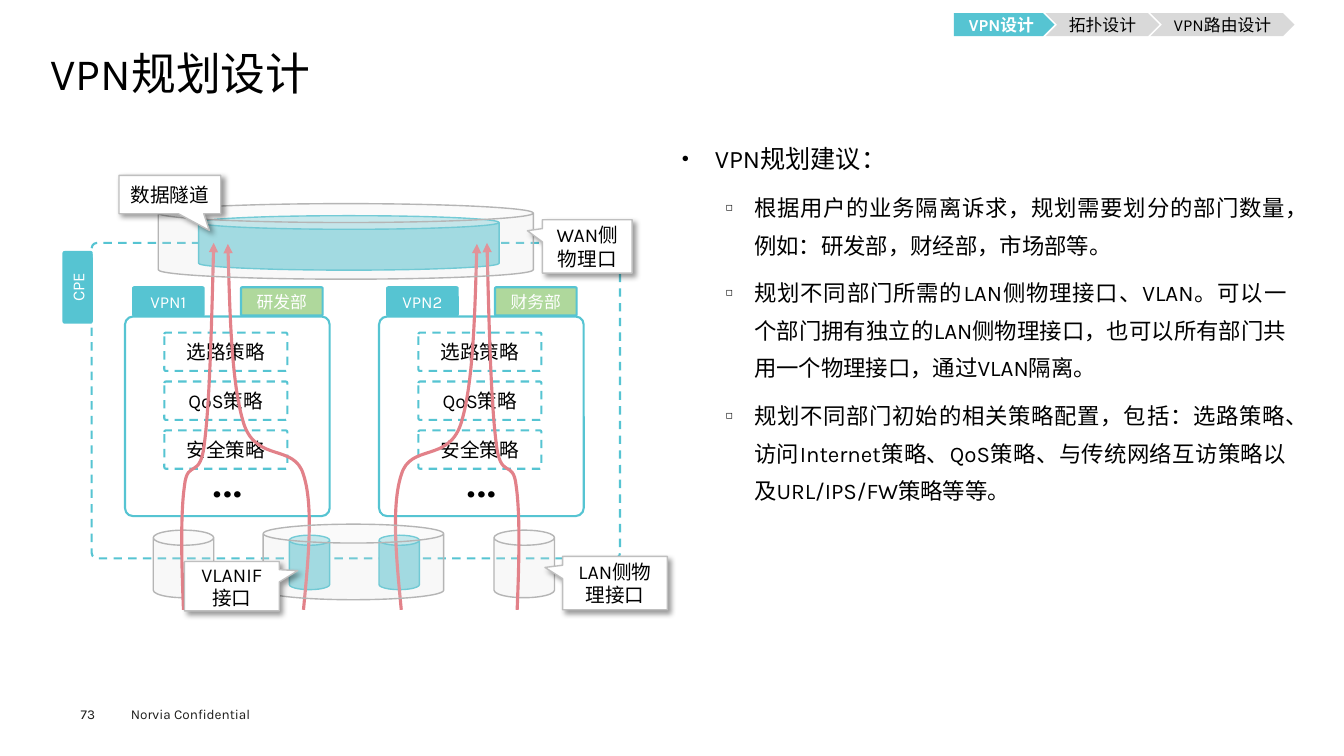
from lxml import etree
from pptx import Presentation
from pptx.dml.color import RGBColor
from pptx.enum.dml import MSO_LINE_DASH_STYLE as Dash
from pptx.enum.shapes import MSO_SHAPE as Shape
from pptx.enum.text import MSO_ANCHOR as Anchor, MSO_AUTO_SIZE as AutoSize, PP_ALIGN as Align
from pptx.oxml.ns import qn
from pptx.util import Inches, Pt

TEAL = RGBColor(0x56, 0xC4, 0xD2)
AQUA = RGBColor(0x94, 0xDA, 0xE2)
GREEN = RGBColor(0xAF, 0xD8, 0x9C)
PINK = RGBColor(0xE2, 0x81, 0x89)
PALE = RGBColor(0xDD, 0xDD, 0xDD)
NAV_GREY = RGBColor(0xD9, 0xD9, 0xD9)
CAN_EDGE = RGBColor(0xB5, 0xB5, 0xB5)
CALLOUT_EDGE = RGBColor(0xBF, 0xBF, 0xBF)
FOOTER_INK = RGBColor(0x1D, 0x1D, 0x1B)
BLACK = RGBColor(0, 0, 0)
WHITE = RGBColor(0xFF, 0xFF, 0xFF)

POLICIES = ["选路策略", "QoS策略", "安全策略"]
ADVICE = [
    "根据用户的业务隔离诉求，规划需要划分的部门数量，例如：研发部，财经部，市场部等。",
    "规划不同部门所需的LAN侧物理接口、VLAN。可以一个部门拥有独立的LAN侧物理接口，也可以所有部门共用一个物理接口，通过VLAN隔离。",
    "规划不同部门初始的相关策略配置，包括：选路策略、访问Internet策略、QoS策略、与传统网络互访策略以及URL/IPS/FW策略等等。",
]

# Paths through the diagram, as start point and Bezier control points
INNER_ROUTE = [(2.1, 4.31), (2.15, 3.79), (2.2, 3.28), (2.1, 2.97), (2.01, 2.66),
               (1.64, 2.85), (1.51, 2.47), (1.39, 2.09), (1.37, 1.39), (1.35, 0.68)]
OUTER_ROUTE = [(0.91, 4.31), (0.89, 3.83), (0.88, 3.36), (0.92, 3.08), (0.95, 2.8),
               (1.08, 3.04), (1.12, 2.64), (1.17, 2.24), (1.19, 1.45), (1.21, 0.67)]


def add_run(paragraph, text, size, color, bold=False):
    run = paragraph.add_run()
    run.text = text
    run.font.name = "Karla"
    run.font.size = Pt(size)
    run.font.bold = bold
    run.font.color.rgb = color


def set_insets(frame, x, top, bottom):
    frame.margin_left = frame.margin_right = Inches(x)
    frame.margin_top, frame.margin_bottom = Inches(top), Inches(bottom)


def add_block(shapes, kind, x, y, w, h, fill=None, line=None, width=1.5, dash=False,
              text="", size=12, color=BLACK, bold=False, adjust=()):
    block = shapes.add_shape(kind, Inches(x), Inches(y), Inches(w), Inches(h))
    block.shadow.inherit = False
    for i, value in enumerate(adjust):
        block.adjustments[i] = value
    if fill is None:
        block.fill.background()
    else:
        block.fill.solid()
        block.fill.fore_color.rgb = fill
    if line is None:
        block.line.fill.background()
    else:
        block.line.color.rgb = line
        block.line.width = Pt(width)
        if dash:
            block.line.dash_style = Dash.DASH
    if text:
        block.text_frame.vertical_anchor = Anchor.MIDDLE
        label = block.text_frame.paragraphs[0]
        label.alignment = Align.CENTER
        add_run(label, text, size, color, bold)
    return block


def add_tag(shapes, text, x, y, w=0.7, fill=TEAL):
    return add_block(shapes, Shape.ROUNDED_RECTANGLE, x, y, w, 0.28, fill, TEAL,
                     text=text, color=WHITE, adjust=[0.04])


def add_glass_can(shapes, x, y, w, h):
    can = add_block(shapes, Shape.CAN, x, y, w, h, PALE, CAN_EDGE, 1)
    tint = can._element.spPr.find(qn("a:solidFill"))[0]
    etree.SubElement(tint, qn("a:alpha"), val="20000")


def add_callout(shapes, text, x, y, w, h, adjust):
    callout = add_block(shapes, Shape.RECTANGULAR_CALLOUT, x, y, w, h, WHITE, CALLOUT_EDGE, 1,
                        text=text, size=14, adjust=adjust)
    effects = callout._element.spPr.find(qn("a:effectLst"))
    shadow = etree.SubElement(effects, qn("a:outerShdw"), blurRad=str(Pt(4)), dist=str(Pt(3)),
                              dir="2700000", algn="tl", rotWithShape="0")
    ink = etree.SubElement(shadow, qn("a:srgbClr"), val="000000")
    etree.SubElement(ink, qn("a:alpha"), val="40000")


def add_route(shapes, points):
    corners = [(Inches(x), Inches(y)) for x, y in points]
    builder = shapes.build_freeform(*corners[0])
    builder.add_line_segments(corners[1:], close=False)
    route = builder.convert_to_shape()
    route.shadow.inherit = False
    route.fill.background()
    route.line.color.rgb = PINK
    route.line.width = Pt(2.25)
    etree.SubElement(route.line._get_or_add_ln(), qn("a:tailEnd"), type="triangle")
    # Each three straight steps become one Bezier curve
    outline = next(route._element.iter(qn("a:path")))
    steps = outline.findall(qn("a:lnTo"))
    for i in range(0, len(steps), 3):
        curve = etree.SubElement(outline, qn("a:cubicBezTo"))
        for step in steps[i:i + 3]:
            curve.append(step[0])
            outline.remove(step)


def add_vpn(shapes, x, y, name, department):
    panel = add_block(shapes, Shape.ROUNDED_RECTANGLE, x, y + 0.29, 2.03, 1.98, line=TEAL,
                      text="…", size=40, adjust=[0.04])
    panel.text_frame.vertical_anchor = Anchor.BOTTOM
    add_tag(shapes, name, x + 0.08, y)
    add_tag(shapes, department, x + 1.15, y, 0.81, GREEN)
    for i, policy in enumerate(POLICIES):
        add_block(shapes, Shape.ROUNDED_RECTANGLE, x + 0.39, y + 0.45 + i * 0.485, 1.22, 0.38,
                  line=TEAL, dash=True, text=policy, size=14, adjust=[0.04])


def add_cpe_diagram(slide, x, y):
    shapes = slide.shapes.add_group_shape().shapes
    # Device frame and tunnel
    add_block(shapes, Shape.ROUNDED_RECTANGLE, x, y + 0.67, 5.24, 3.13, line=TEAL, dash=True,
              adjust=[0.017])
    add_block(shapes, Shape.CAN, x + 1.06, y + 0.4, 2.98, 0.54, AQUA, TEAL, 1)
    # VPN instances
    add_vpn(shapes, x + 0.33, y + 1.11, "VPN1", "研发部")
    add_vpn(shapes, x + 2.85, y + 1.11, "VPN2", "财务部")
    # VLANIF and LAN ports
    for left in (1.96, 2.85):
        add_block(shapes, Shape.CAN, x + left, y + 3.57, 0.4, 0.54, AQUA, TEAL, 1)
    for left in (0.61, 3.99):
        add_glass_can(shapes, x + left, y + 3.52, 0.6, 0.67)
    # Traffic, mirrored from the left half to the right
    for route, mirror in ((INNER_ROUTE, 5.17), (OUTER_ROUTE, 5.13)):
        add_route(shapes, [(x + px, y + py) for px, py in route])
        add_route(shapes, [(x + mirror - px, y + py) for px, py in route])
    # WAN port and shared LAN port
    add_glass_can(shapes, x + 0.66, y + 0.28, 3.72, 0.75)
    add_glass_can(shapes, x + 1.7, y + 3.46, 1.79, 0.75)
    # Labels
    add_callout(shapes, "LAN侧物理接口", x + 4.67, y + 3.78, 1.04, 0.53, [-0.668, -0.293])
    add_callout(shapes, "WAN侧物理口", x + 4.47, y + 0.44, 0.89, 0.53, [-0.668, -0.293])
    add_callout(shapes, "数据隧道", x + 0.27, y, 1.01, 0.38, [0.388, 0.937])
    add_callout(shapes, "VLANIF接口", x + 0.92, y + 3.83, 0.94, 0.49, [0.695, -0.314])
    add_tag(shapes, "CPE", x - 0.49, y + 0.97).rotation = 270


def add_navigation(slide, x, y):
    steps = [(Shape.PENTAGON, "VPN设计", 0, 1, TEAL, WHITE, True),
             (Shape.CHEVRON, "拓扑设计", 0.91, 1.13, NAV_GREY, BLACK, False),
             (Shape.CHEVRON, "VPN路由设计", 1.95, 1.43, NAV_GREY, BLACK, False)]
    for kind, text, left, w, fill, color, bold in steps:
        step = add_block(slide.shapes, kind, x + left, y, w, 0.23, fill, text=text,
                         color=color, bold=bold)
        set_insets(step.text_frame, 0, 0, 0)


def place(holder, x, y, w, h):
    holder.left, holder.top, holder.width, holder.height = map(Inches, (x, y, w, h))
    holder.text_frame.word_wrap = True
    holder.text_frame.auto_size = AutoSize.NONE
    return holder.text_frame


def fill_title(slide, x, y, w, h):
    frame = place(slide.shapes.title, x, y, w, h)
    set_insets(frame, 0, 0, 0)
    frame.vertical_anchor = Anchor.MIDDLE
    heading = frame.paragraphs[0]
    heading.alignment = Align.LEFT
    heading.line_spacing = 0.9
    add_run(heading, "VPN规划设计", 32, BLACK)


def fill_advice(slide, x, y, w, h):
    frame = place(slide.placeholders[1], x, y, w, h)
    set_insets(frame, 0.09, 0.15, 0.04)
    items = [("VPN规划建议：", 0, 18, 0.33, -0.33, "●", 0)]
    items += [(text, 1, 16, 0.72, -0.28, "◻", 7.2) for text in ADVICE]
    for i, (text, level, size, margin, indent, bullet, before) in enumerate(items):
        item = frame.add_paragraph() if i else frame.paragraphs[0]
        item.level = level
        item.alignment = Align.JUSTIFY
        item.line_spacing = 1.4
        item.space_before = Pt(before)
        props = item._p.get_or_add_pPr()
        props.set("marL", str(Inches(margin)))
        props.set("indent", str(Inches(indent)))
        etree.SubElement(props, qn("a:buSzPct"), val="50000")
        etree.SubElement(props, qn("a:buChar"), char=bullet)
        add_run(item, text, size, BLACK)


def add_footer(slide, x, y):
    for text, left, top, w, h, inset in (("73", 0, 0.05, 0.55, 0.16, 0),
                                         ("Norvia Confidential", 0.4, 0, 1.6, 0.27, 0.1)):
        note = slide.shapes.add_textbox(Inches(x + left), Inches(y + top), Inches(w), Inches(h))
        note.text_frame.word_wrap = True
        set_insets(note.text_frame, inset, inset / 2, inset / 2)
        add_run(note.text_frame.paragraphs[0], text, 9.7, FOOTER_INK)


def main():
    deck = Presentation()
    deck.slide_width, deck.slide_height = Inches(13.33), Inches(7.5)
    slide = deck.slides.add_slide(deck.slide_layouts[1])
    add_footer(slide, 0.8, 6.95)
    fill_title(slide, 0.5, 0.49, 12.35, 0.53)
    fill_advice(slide, 6.67, 1.15, 6.18, 5.33)
    add_cpe_diagram(slide, 0.91, 1.74)
    add_navigation(slide, 9.46, 0.13)
    deck.save("out.pptx")


if __name__ == "__main__":
    main()
